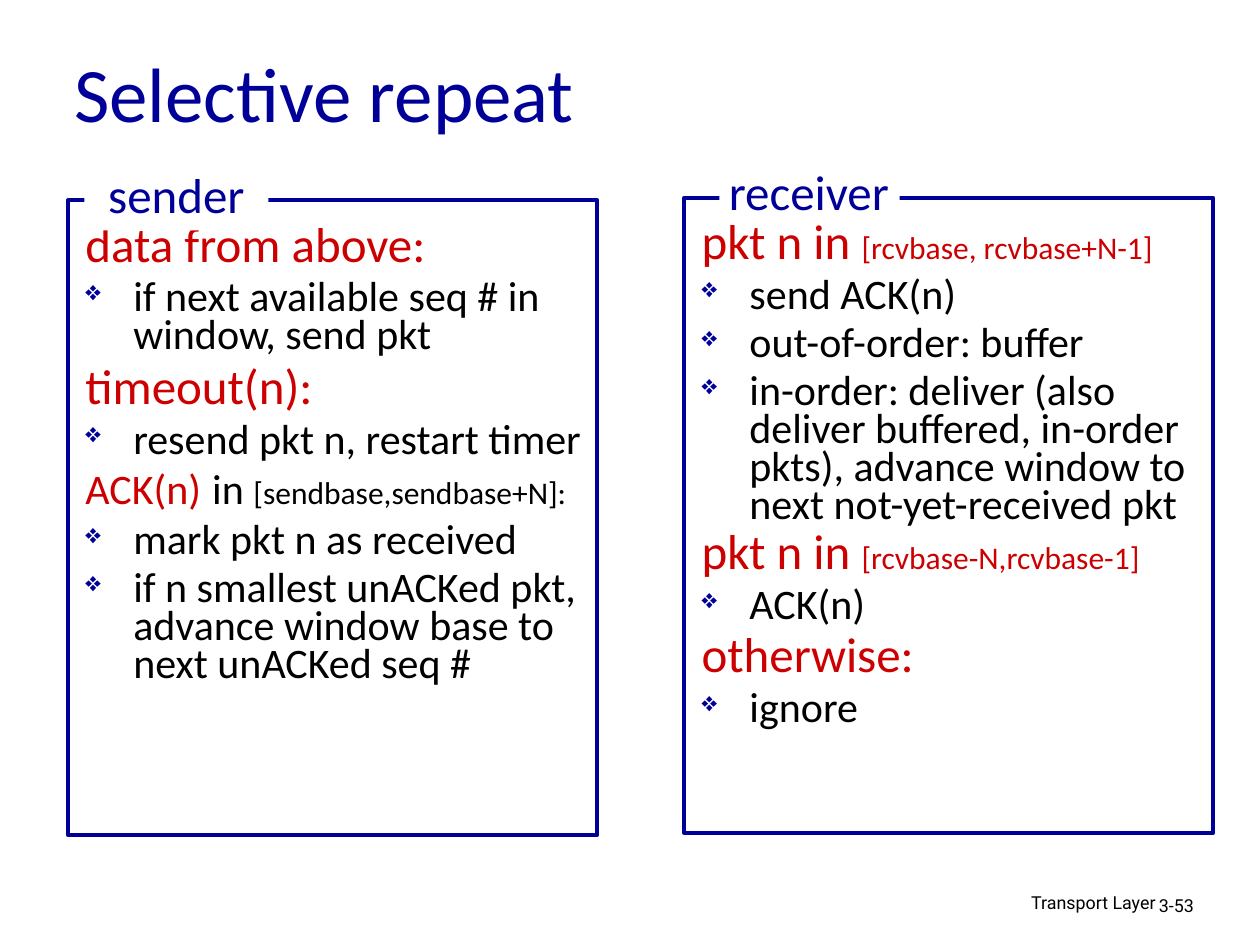
from lxml import etree
from pptx import Presentation
from pptx.dml.color import RGBColor
from pptx.enum.shapes import MSO_SHAPE
from pptx.enum.text import MSO_ANCHOR, PP_ALIGN
from pptx.oxml.ns import qn
from pptx.util import Inches, Pt

RECT = MSO_SHAPE.RECTANGLE
MIDDLE = MSO_ANCHOR.MIDDLE
LEFT, CENTER, RIGHT = PP_ALIGN.LEFT, PP_ALIGN.CENTER, PP_ALIGN.RIGHT

BLUE = RGBColor(0x00, 0x00, 0x99)
RED = RGBColor(0xCC, 0x00, 0x00)
BLACK = RGBColor(0x00, 0x00, 0x00)
WHITE = RGBColor(0xFF, 0xFF, 0xFF)

WIDTH, HEIGHT = Inches(10), Inches(7.5)
COL, ROW = WIDTH / 100, HEIGHT / 75  # grid of 100 columns by 75 rows
INDENT = Inches(0.38)

# A string is a bullet; a tuple is (space before, runs) of a heading.
SENDER = [
    (7, [("data from above:", 28, RED)]),
    "if next available seq # in window, send pkt",
    (7, [("timeout(n):", 28, RED)]),
    "resend pkt n, restart timer",
    (4.5, [("ACK(n)", 24, RED), (" ", 28, RED), ("in ", 24, BLACK),
           ("[sendbase,sendbase+N]:", 18, BLACK)]),
    "mark pkt n as received",
    "if n smallest unACKed pkt, advance window base to next unACKed seq #",
]
RECEIVER = [
    (4.5, [("pkt n in ", 28, RED), ("[rcvbase, rcvbase+N-1]", 18, RED)]),
    "send ACK(n)",
    "out-of-order: buffer",
    "in-order: deliver (also deliver buffered, in-order pkts), "
    "advance window to next not-yet-received pkt",
    (4.5, [("pkt n in ", 28, RED), ("[rcvbase-N,rcvbase-1]", 18, RED)]),
    "ACK(n)",
    (6, [("otherwise:", 28, RED)]),
    "ignore",
]


def grid(x, y, w, h):
    return round(x * COL), round(y * ROW), round(w * COL), round(h * ROW)


def style(font, size, color, name="Calibri"):
    font.name, font.size, font.color.rgb = name, Pt(size), color


def add_text(slide, box, text, size, color, name="Calibri", align=LEFT, wrap=True):
    shape = slide.shapes.add_textbox(*grid(*box))
    shape.text_frame.word_wrap = wrap
    para = shape.text_frame.paragraphs[0]
    para.text, para.alignment = text, align
    style(para.font, size, color, name)
    return shape


def add_rect(slide, box):
    shape = slide.shapes.add_shape(RECT, *grid(*box))
    shape.shadow.inherit = False
    shape.fill.background()
    shape.line.fill.background()
    return shape


def add_bullet(para):
    """Add the small blue diamond; call before the paragraph font is set."""
    props = para._p.get_or_add_pPr()
    color = etree.SubElement(props, qn("a:buClr"))
    etree.SubElement(color, qn("a:srgbClr"), val=str(BLUE))
    etree.SubElement(props, qn("a:buSzPct"), val="65000")
    etree.SubElement(props, qn("a:buChar"), char="❖")


def add_rules(slide, box, rules):
    frame = slide.shapes.add_textbox(*grid(*box)).text_frame
    frame.word_wrap = True
    for i, rule in enumerate(rules):
        para = frame.add_paragraph() if i else frame.paragraphs[0]
        props = para._p.get_or_add_pPr()
        props.set("marL", str(INDENT))
        props.set("indent", str(-INDENT))
        para.line_spacing = 0.75
        if isinstance(rule, str):
            para.space_before = Pt(6)
            add_bullet(para)
            para.text = rule
            style(para.font, 24, BLACK)
            continue
        gap, runs = rule
        para.space_before = Pt(gap)
        para.font.name = "Calibri"
        for text, size, color in runs:
            run = para.add_run()
            run.text = text
            run.font.size, run.font.color.rgb = Pt(size), color


def add_panel(slide, box, label, tag, patch, rules):
    """Frame the rules; tag and patch are relative to the frame's corner."""
    x, y, w, h = box
    add_rules(slide, (x + 0.4, y + 1.6, w - 0.3, h + 0.4), rules)
    frame = add_rect(slide, box)
    frame.line.color.rgb, frame.line.width = BLUE, Pt(2.25)

    def inside(part):
        left, top, *size = part
        return x + left, y + top, *size

    if patch:
        cover = add_rect(slide, inside(patch))
    name = add_text(slide, inside(tag), label, 28, BLUE, align=CENTER, wrap=False)
    if not patch:
        cover = name
    cover.fill.solid()
    cover.fill.fore_color.rgb = WHITE


def add_title(slide, box, text):
    title = slide.shapes.title
    title.left, title.top, title.width, title.height = grid(*box)
    title.text_frame.vertical_anchor = MIDDLE
    para = title.text_frame.paragraphs[0]
    para.text, para.alignment = text, LEFT
    style(para.font, 44, BLUE)


def add_footer(slide, box):
    x, y, w, h = box
    for part, text, align in (
        ((x, y, 31.7, h), "Transport Layer", RIGHT),
        ((x + 30, y + 0.2, w - 30, h), "3-53", LEFT),
    ):
        shape = add_text(slide, part, text, 10.2, BLACK, "Roboto", align)
        shape.text_frame.paragraphs[0].line_spacing = 0.9


def main():
    deck = Presentation()
    deck.slide_width, deck.slide_height = WIDTH, HEIGHT
    slide = deck.slides.add_slide(deck.slide_layouts[5])
    add_footer(slide, (61, 70.5, 37.4, 3))
    add_title(slide, (4.9, 2.7, 85, 9.2), "Selective repeat")
    add_panel(slide, (5.4, 15.9, 42, 50.4), "sender",
              (1.3, -3.3, 14.6, 5.7), None, SENDER)
    add_panel(slide, (54.3, 15.7, 42, 50.4), "receiver",
              (1.6, -3.4, 16.6, 5.7), (2.8, -1.5, 14.3, 3.1), RECEIVER)
    deck.save("out.pptx")


if __name__ == "__main__":
    main()
